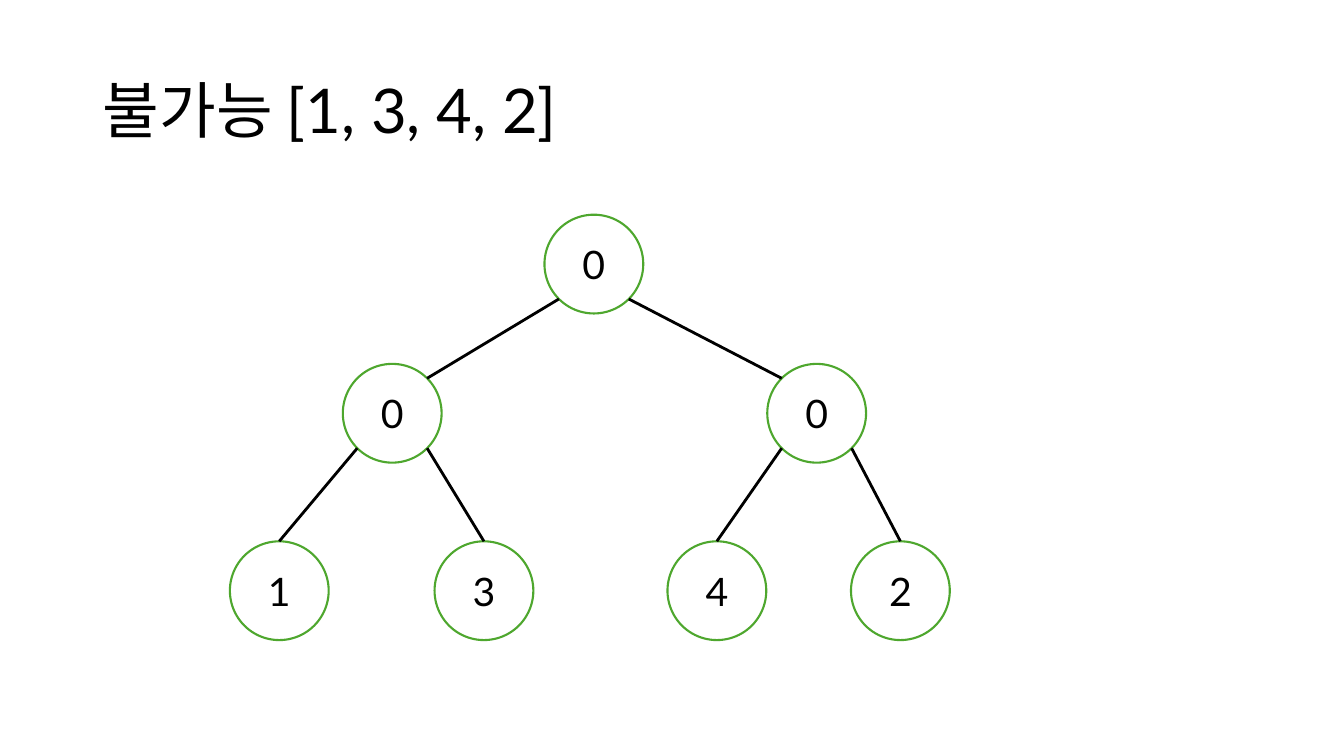
from dataclasses import dataclass
from math import sqrt

from lxml.etree import SubElement
from pptx import Presentation
from pptx.dml.color import RGBColor as Color
from pptx.enum.shapes import MSO_CONNECTOR as Link, MSO_SHAPE as Shape
from pptx.enum.text import MSO_ANCHOR as Anchor, PP_ALIGN as Align
from pptx.oxml.ns import qn
from pptx.util import Inches, Pt


@dataclass(frozen=True)
class Theme:
    font: str = "Lato"
    ink: Color = Color(0, 0, 0)
    paper: Color = Color(255, 255, 255)
    green: Color = Color(0x4E, 0xA7, 0x2E)
    title: Pt = Pt(44)
    label: Pt = Pt(28)
    ring: Pt = Pt(1.5)
    edge: Pt = Pt(2)


THEME = Theme()
SIZE = Inches(0.98)
ROWS = [Inches(top) for top in (2.13, 3.61, 5.37)]
TREE = ("0", 5.4, [
    ("0", 3.4, [("1", 2.28, []), ("3", 4.31, [])]),
    ("0", 7.61, [("4", 6.62, []), ("2", 8.44, [])]),
])


def add_text(frame, text, size, align):
    frame.vertical_anchor = Anchor.MIDDLE
    para = frame.paragraphs[0]
    para.alignment = align
    run = para.add_run()
    run.text = text
    run.font.name = THEME.font
    run.font.size = size
    run.font.color.rgb = THEME.ink
    return para


def add_title(slide, text):
    title = slide.shapes.title
    title.left, title.top = Inches(0.92), Inches(0.4)
    title.width, title.height = Inches(11.5), Inches(1.45)
    para = add_text(title.text_frame, text, THEME.title, Align.LEFT)
    para.line_spacing = 0.9


def add_node(slide, text, left, top):
    node = slide.shapes.add_shape(Shape.OVAL, left, top, SIZE, SIZE)
    node.shadow.inherit = False
    node.fill.solid()
    node.fill.fore_color.rgb = THEME.paper
    node.line.color.rgb = THEME.green
    node.line.width = THEME.ring
    add_text(node.text_frame, text, THEME.label, Align.CENTER)
    return node


def rim(node, side, down):
    reach = SIZE / 2 / sqrt(2)
    return (round(node.left + SIZE / 2 + side * reach),
            round(node.top + SIZE / 2 + down * reach))


def add_edge(slide, top, low, leaf):
    side = 1 if low.left > top.left else -1
    start = rim(top, side, 1)
    end = rim(low, -side, -1)
    edge = slide.shapes.add_connector(Link.STRAIGHT, *start, *end)
    if leaf:
        edge.end_connect(low, 0)
    edge.line.color.rgb = THEME.ink
    edge.line.width = THEME.edge
    SubElement(edge.element.spPr, qn("a:effectLst"))


def add_tree(slide, tree, level=0):
    text, left, kids = tree
    node = add_node(slide, text, Inches(left), ROWS[level])
    for kid in kids:
        low = add_tree(slide, kid, level + 1)
        add_edge(slide, node, low, not kid[2])
    return node


def main():
    deck = Presentation()
    deck.slide_width, deck.slide_height = Inches(13.33), Inches(7.5)
    slide = deck.slides.add_slide(deck.slide_layouts[5])
    add_title(slide, "불가능 [1, 3, 4, 2]")
    add_tree(slide, TREE)
    deck.save("out.pptx")


if __name__ == "__main__":
    main()
